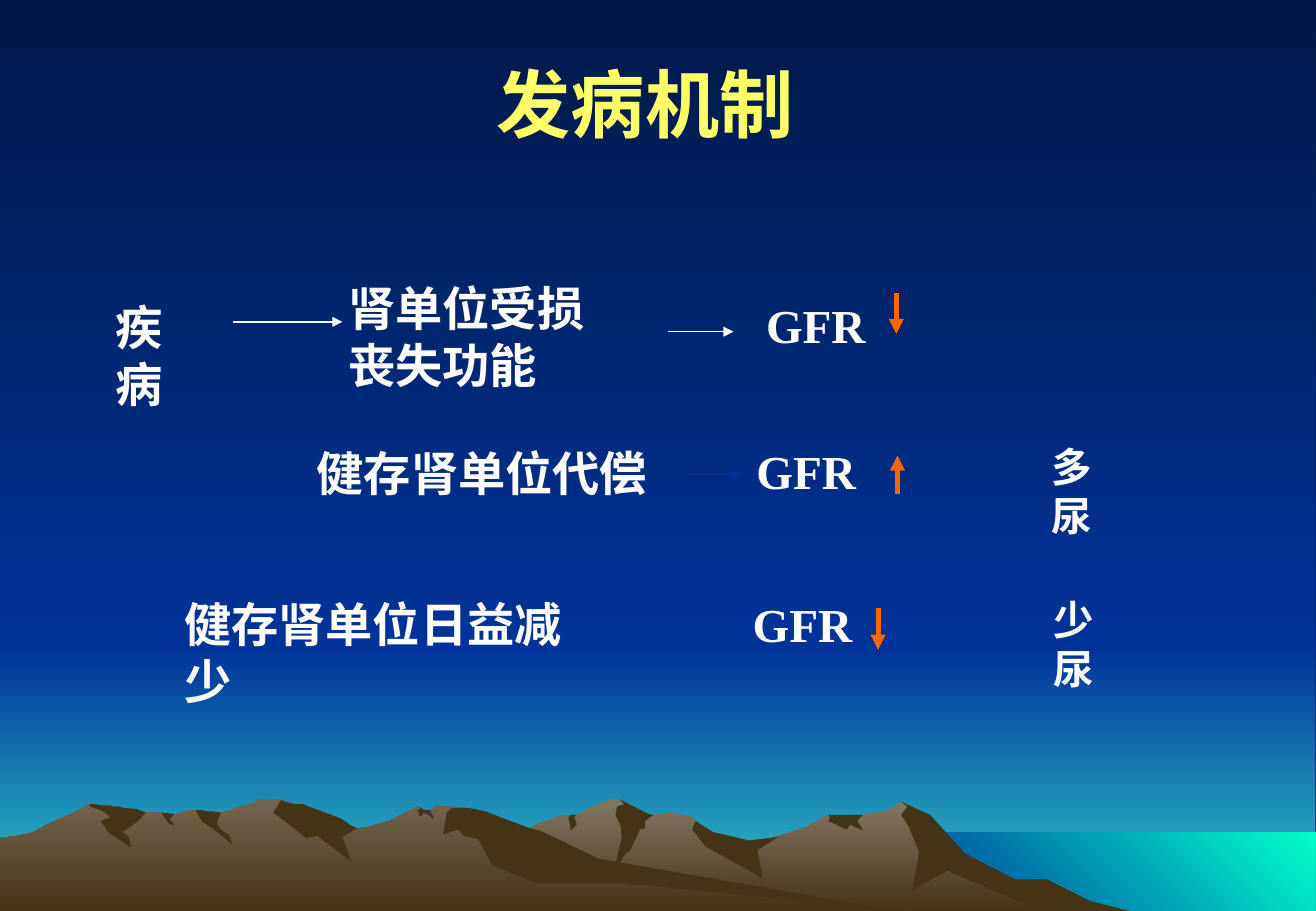
"""Build the slide on the mechanism of kidney disease over a mountain landscape."""
from lxml import etree
from pptx import Presentation
from pptx.dml.color import RGBColor
from pptx.enum.shapes import MSO_CONNECTOR
from pptx.enum.text import MSO_ANCHOR, MSO_AUTO_SIZE, PP_ALIGN
from pptx.oxml.ns import qn
from pptx.util import Pt

STRAIGHT = MSO_CONNECTOR.STRAIGHT
TOP, MIDDLE = MSO_ANCHOR.TOP, MSO_ANCHOR.MIDDLE
LEFT, CENTER = PP_ALIGN.LEFT, PP_ALIGN.CENTER
GROW, FIXED = MSO_AUTO_SIZE.SHAPE_TO_FIT_TEXT, MSO_AUTO_SIZE.NONE
OUTLINE_UNIT = Pt(0.72)
DOWNWARD, RISING = 270, 45

COLORS = {
    "night": "001847", "blue": "003399", "horizon": "33CCCC", "sea": "00FFCC",
    "sunlit": "847864", "slope": "73654F", "shade": "463416",
    "title": "FFFF66", "white": "FFFFFF", "orange": "FF6600",
}

HORIZON = [(1083, 750), (0, 750), (0, 533), (1083, 533)]
SKY = [(1083, 533), (0, 533), (0, 0), (1083, 0)]
SEA = [(1083, 750), (740, 750), (740, 685), (1083, 685)]
RIGHT_RANGE = [
    (869, 740), (843, 727), (827, 723), (783, 698), (760, 671), (742, 660), (732, 667),
    (710, 671), (681, 671), (664, 681), (614, 697), (581, 690), (573, 676), (570, 673),
    (552, 669), (538, 671), (526, 673), (514, 661), (510, 658), (503, 658), (488, 664),
    (486, 665), (481, 668), (474, 671), (465, 671), (460, 672), (453, 675), (446, 677),
    (438, 681), (433, 683), (428, 684), (427, 685), (384, 698), (354, 709), (300, 739),
    (280, 750), (889, 750),
]
LEFT_RANGE = [
    (748, 750), (723, 748), (468, 712), (383, 665), (359, 663), (354, 668), (350, 668),
    (344, 664), (320, 676), (302, 681), (294, 682), (281, 676), (255, 681), (242, 663),
    (241, 662), (237, 660), (233, 659), (229, 658), (213, 658), (211, 659), (210, 660),
    (207, 662), (205, 662), (201, 663), (198, 664), (194, 665), (193, 666), (182, 669),
    (173, 671), (161, 667), (155, 667), (143, 671), (138, 671), (133, 669), (120, 669),
    (102, 671), (73, 662), (61, 669), (60, 669), (57, 671), (54, 672), (49, 674),
    (38, 679), (28, 685), (15, 688), (0, 690), (0, 750),
]
RIGHT_SHADOWS = [
    [(862, 724), (836, 724), (795, 703), (766, 671), (742, 660), (747, 664), (742, 671),
     (748, 680), (757, 702), (751, 733), (780, 717), (858, 750), (930, 750), (898, 742)],
    [(510, 658), (514, 662), (508, 664), (507, 671), (511, 680), (512, 690), (503, 727),
     (514, 704), (519, 700), (527, 683), (531, 682), (531, 676), (538, 671), (534, 670)],
    [(573, 676), (572, 678), (570, 683), (581, 697), (628, 723), (624, 700), (641, 689),
     (617, 692), (587, 685)],
    [(704, 671), (682, 671), (683, 672), (683, 675), (682, 676), (697, 683), (700, 679),
     (711, 684), (706, 676), (710, 671)],
    [(469, 677), (468, 673), (470, 671), (474, 671), (475, 670), (473, 673), (475, 679),
     (470, 684)],
]
LEFT_SHADOWS = [
    [(229, 663), (225, 669), (237, 678), (252, 690), (261, 688), (289, 709), (282, 689),
     (294, 682), (292, 681), (288, 679), (281, 674), (273, 671), (265, 668), (257, 665),
     (252, 663), (250, 662), (243, 662), (238, 661), (235, 660), (233, 659), (231, 659)],
    [(400, 668), (391, 666), (383, 665), (372, 665), (368, 669), (365, 687), (377, 683),
     (382, 688), (394, 691), (405, 712), (441, 727), (512, 727), (748, 750), (740, 750),
     (493, 707), (462, 692), (445, 684), (434, 681), (418, 675)],
    [(344, 667), (345, 667), (346, 666), (345, 665), (344, 664), (350, 667), (354, 667),
     (355, 669), (356, 671), (357, 673), (357, 674), (355, 673), (353, 671), (348, 669),
     (348, 671), (346, 672), (345, 672), (345, 670)],
    [(166, 667), (170, 668), (174, 668), (182, 669), (179, 676), (179, 678), (180, 680),
     (181, 682), (183, 684), (188, 687), (190, 691), (191, 694), (191, 695), (179, 685),
     (166, 676), (161, 667)],
    [(144, 670), (140, 674), (140, 675), (142, 677), (143, 679), (143, 680), (142, 679),
     (139, 678), (137, 675), (136, 674), (133, 669)],
    [(118, 668), (120, 669), (114, 676), (101, 685), (106, 689), (108, 698), (89, 685),
     (83, 676), (91, 673), (85, 668), (74, 664), (74, 662), (77, 662), (83, 663),
     (91, 663), (93, 664), (98, 664), (101, 665), (112, 666)],
]


def rgb(name):
    """Return the named colour."""
    return RGBColor.from_string(COLORS[name])


def paint(fill, colors, angle=DOWNWARD):
    """Fill with one colour, or with a gradient between two."""
    if len(colors) == 1:
        fill.solid()
        fill.fore_color.rgb = rgb(colors[0])
        return
    fill.gradient()
    fill.gradient_angle = angle
    for stop, color in zip(fill.gradient_stops, colors):
        stop.color.rgb = rgb(color)


def add_outline(page, points, *colors, angle=DOWNWARD):
    """Draw a closed outline given in hundredths of an inch."""
    builder = page.shapes.build_freeform(*points[0], scale=OUTLINE_UNIT)
    builder.add_line_segments(points[1:], close=True)
    shape = builder.convert_to_shape()
    shape.shadow.inherit = False
    shape.line.fill.background()
    paint(shape.fill, colors, angle)


def add_text(page, text, left, top, width, height=41, *, size=28, color="white",
             font="Times New Roman", align=LEFT, anchor=TOP, wrap=False, fit=GROW):
    """Add bold text, one paragraph for each line."""
    box = page.shapes.add_textbox(Pt(left), Pt(top), Pt(width), Pt(height))
    frame = box.text_frame
    frame.word_wrap = wrap
    frame.auto_size = fit
    frame.vertical_anchor = anchor
    frame.text = text
    for para in frame.paragraphs:
        para.alignment = align
        for span in para.runs:
            span.font.name = font
            span.font.size = Pt(size)
            span.font.bold = True
            span.font.color.rgb = rgb(color)


def add_arrow(page, left, top, across=0, down=0, *, color="white", weight=0.75):
    """Draw an arrow from a point over the given distances."""
    arrow = page.shapes.add_connector(
        STRAIGHT, Pt(left), Pt(top), Pt(left + across), Pt(top + down))
    arrow.line.color.rgb = rgb(color)
    arrow.line.width = Pt(weight)
    line = arrow.line._get_or_add_ln()
    etree.SubElement(line, qn("a:tailEnd"), type="triangle")
    etree.SubElement(arrow._element.spPr, qn("a:effectLst"))


def add_landscape(page):
    """Draw the sky, the sea and the two mountain ranges."""
    paint(page.background.fill, ("night", "blue"))
    add_outline(page, HORIZON, "blue", "horizon")
    add_outline(page, SKY, "night", "blue")
    add_outline(page, SEA, "blue", "sea", angle=RISING)
    for mountains, light, shadows in ((RIGHT_RANGE, "sunlit", RIGHT_SHADOWS),
                                      (LEFT_RANGE, "slope", LEFT_SHADOWS)):
        add_outline(page, mountains, light, "shade")
        for shadow in shadows:
            add_outline(page, shadow, "shade")


def main():
    """Build and save the deck."""
    deck = Presentation()
    deck.slide_width, deck.slide_height = Pt(780.25), Pt(540)
    page = deck.slides.add_slide(deck.slide_layouts[6])
    add_landscape(page)

    add_text(page, "发病机制", 51.1, 18.7, 663, 85, size=44, color="title",
             font="Arial", align=CENTER, anchor=MIDDLE, wrap=True, fit=FIXED)
    add_text(page, "疾病", 61.2, 173.5, 69.8)
    add_text(page, "肾单位受损\n丧失功能", 199.5, 162, 205.2, 75, wrap=True)
    add_text(page, "健存肾单位代偿", 180.7, 260, 210.2)
    add_text(page, "健存肾单位日益减少", 102.2, 349.2, 265.7)
    add_text(page, "GFR", 447.1, 172.1, 182.2, wrap=True)
    add_text(page, "GFR", 441.4, 258.5, 73.4)
    add_text(page, "GFR", 439.2, 349.2, 182.2, wrap=True)
    add_text(page, "多尿", 616.3, 258.5, 61.9, 36, size=24)
    add_text(page, "少尿", 617.8, 349.2, 61.9, 36, size=24)

    add_arrow(page, 138.2, 190.8, across=64.8)
    add_arrow(page, 396, 196.6, across=38.9)
    add_arrow(page, 407.5, 281.5, across=32.4, color="blue")
    add_arrow(page, 390.2, 372.2, across=42.5, color="blue")
    for left, top, down in ((531.4, 173.5, 24.5), (532.1, 293, -23), (520.6, 360.7, 24.5)):
        add_arrow(page, left, top, down=down, color="orange", weight=3)

    deck.save("out.pptx")


if __name__ == "__main__":
    main()
